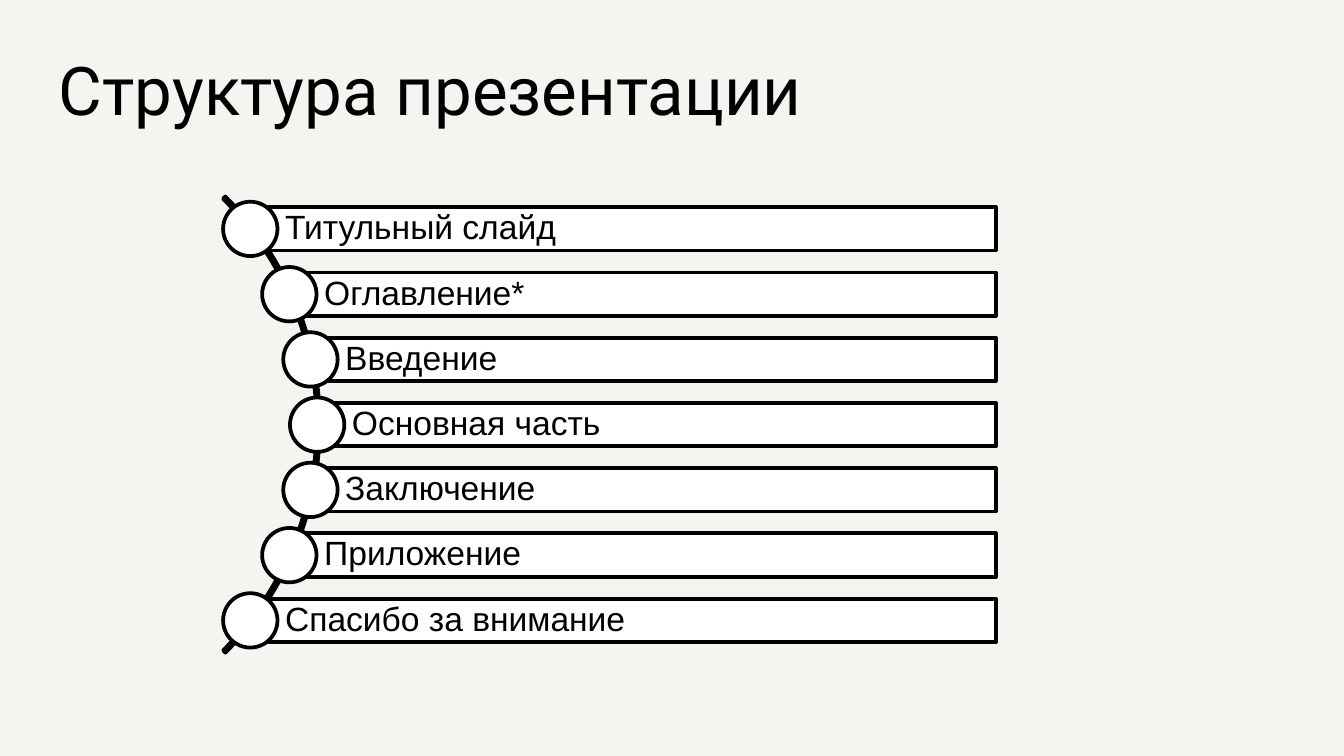
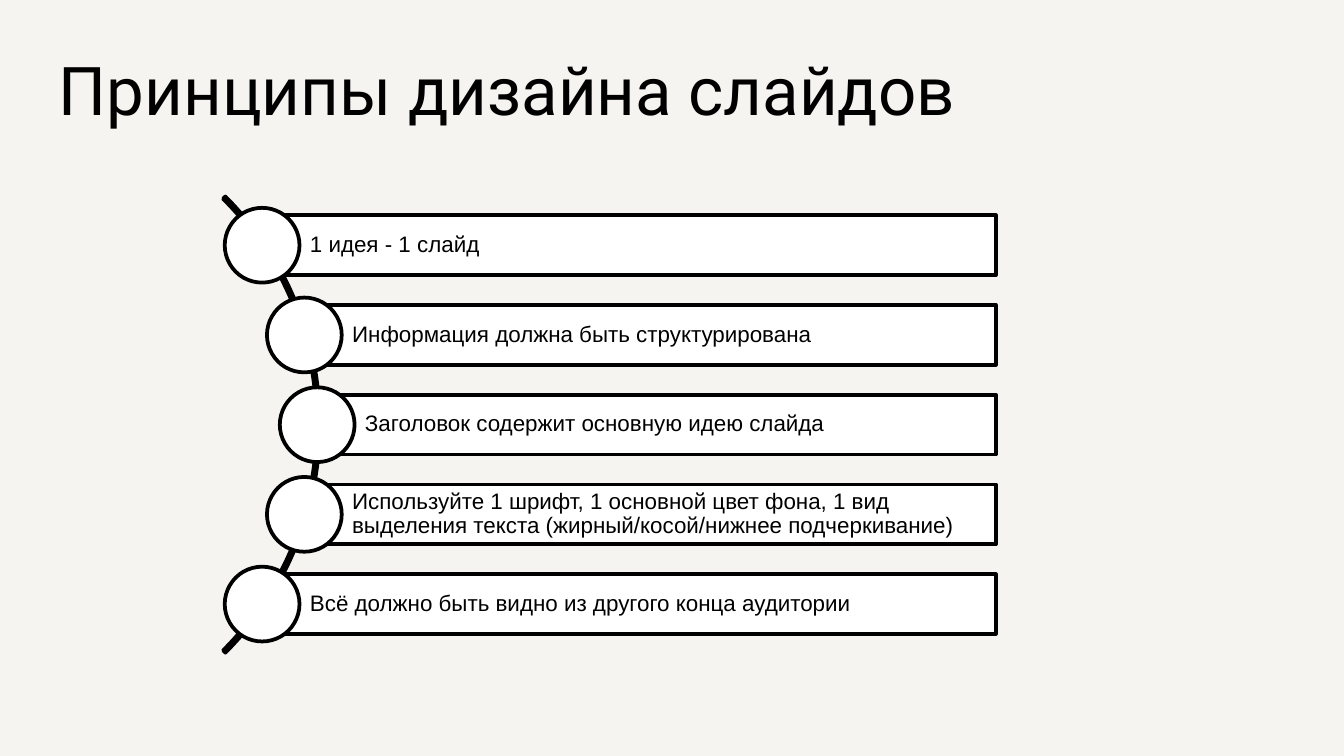
"""Build two slides that list short points along a curved spine."""
from dataclasses import dataclass
from math import sqrt

from pptx import Presentation
from pptx.dml.color import RGBColor
from pptx.enum.shapes import MSO_SHAPE
from pptx.enum.text import MSO_ANCHOR, PP_ALIGN
from pptx.util import Inches, Pt

SLIDES = [
    {
        "title": "Структура презентации",
        "size": 18,
        "inset": 0.05,
        "points": [
            "Титульный слайд",
            "Оглавление*",
            "Введение",
            "Основная часть",
            "Заключение",
            "Приложение",
            "Спасибо за внимание",
        ],
    },
    {
        "title": "Принципы дизайна слайдов",
        "size": 12,
        "inset": 0.03,
        "points": [
            "1 идея - 1 слайд",
            "Информация должна быть структурирована",
            "Заголовок содержит основную идею слайда",
            "Используйте 1 шрифт, 1 основной цвет фона, 1 вид "
            "выделения текста (жирный/косой/нижнее подчеркивание)",
            "Всё должно быть видно из другого конца аудитории",
        ],
    },
]


@dataclass(frozen=True)
class Theme:
    """Colours, fonts and sizes shared by the slides."""
    back: RGBColor = RGBColor(0xF5, 0xF4, 0xF0)
    ink: RGBColor = RGBColor(0, 0, 0)
    paper: RGBColor = RGBColor(0xFF, 0xFF, 0xFF)
    head: str = "Roboto"
    body: str = "Arial"
    title: int = 36
    line: int = 2


THEME = Theme()
WIDTH = 10
MID_X, MID_Y = -0.02, 3.16
ARC = 4.8
RADIUS = 2.38
HEIGHT = 3.56
RIGHT = 7.41


def write(shape, text, font, size, insets, anchor=MSO_ANCHOR.MIDDLE, spacing=None):
    """Put formatted text into a shape; insets run left, top, right, bottom."""
    frame = shape.text_frame
    frame.word_wrap = True
    frame.vertical_anchor = anchor
    left, top, right, bottom = (Inches(gap) for gap in insets)
    frame.margin_left, frame.margin_top = left, top
    frame.margin_right, frame.margin_bottom = right, bottom
    para = frame.paragraphs[0]
    para.alignment = PP_ALIGN.LEFT
    para.line_spacing = spacing
    run = para.add_run()
    run.text = text
    run.font.name = font
    run.font.size = Pt(size)
    run.font.color.rgb = THEME.ink


def draw(slide, kind, box, fill=THEME.paper):
    """Add an outlined shape, hollow when fill is None."""
    shape = slide.shapes.add_shape(kind, *(Inches(part) for part in box))
    shape.shadow.inherit = False
    if fill is None:
        shape.fill.background()
    else:
        shape.fill.solid()
        shape.fill.fore_color.rgb = fill
    shape.line.color.rgb = THEME.ink
    shape.line.width = Pt(THEME.line)
    return shape


def add_title(slide, text):
    """Add the slide title."""
    box = slide.shapes.add_textbox(*map(Inches, (0.34, 0.21, 9.32, 0.85)))
    write(box, text, THEME.head, THEME.title, [0.1] * 4, anchor=MSO_ANCHOR.BOTTOM)


def add_list(slide, points, size, inset):
    """Add the spine with one bar and one dot for each point."""
    arc = draw(slide, MSO_SHAPE.BLOCK_ARC,
               (MID_X - ARC / 2, MID_Y - ARC / 2, ARC, ARC), fill=None)
    for index, value in enumerate((189, 27, 0.005)):
        arc.adjustments[index] = value

    count = len(points)
    bar = HEIGHT / (count + (count + 1) / 2)
    dot = 1.25 * bar
    for index, text in enumerate(points):
        drop = (index - (count - 1) / 2) * 1.5 * bar
        x = MID_X + sqrt(RADIUS ** 2 - drop ** 2)
        y = MID_Y + drop
        strip = draw(slide, MSO_SHAPE.RECTANGLE, (x, y - bar / 2, RIGHT - x, bar))
        write(strip, text, THEME.body, size, [0.8 * bar] + [inset] * 3, spacing=0.9)
        draw(slide, MSO_SHAPE.OVAL, (x - dot / 2, y - dot / 2, dot, dot))


def main():
    """Build and save the deck."""
    deck = Presentation()
    deck.slide_width = Inches(WIDTH)
    deck.slide_height = Inches(WIDTH * 9 / 16)
    fill = deck.slide_master.background.fill
    fill.solid()
    fill.fore_color.rgb = THEME.back
    for page in SLIDES:
        slide = deck.slides.add_slide(deck.slide_layouts[6])
        add_title(slide, page["title"])
        add_list(slide, page["points"], page["size"], page["inset"])
    deck.save("out.pptx")


if __name__ == "__main__":
    main()
